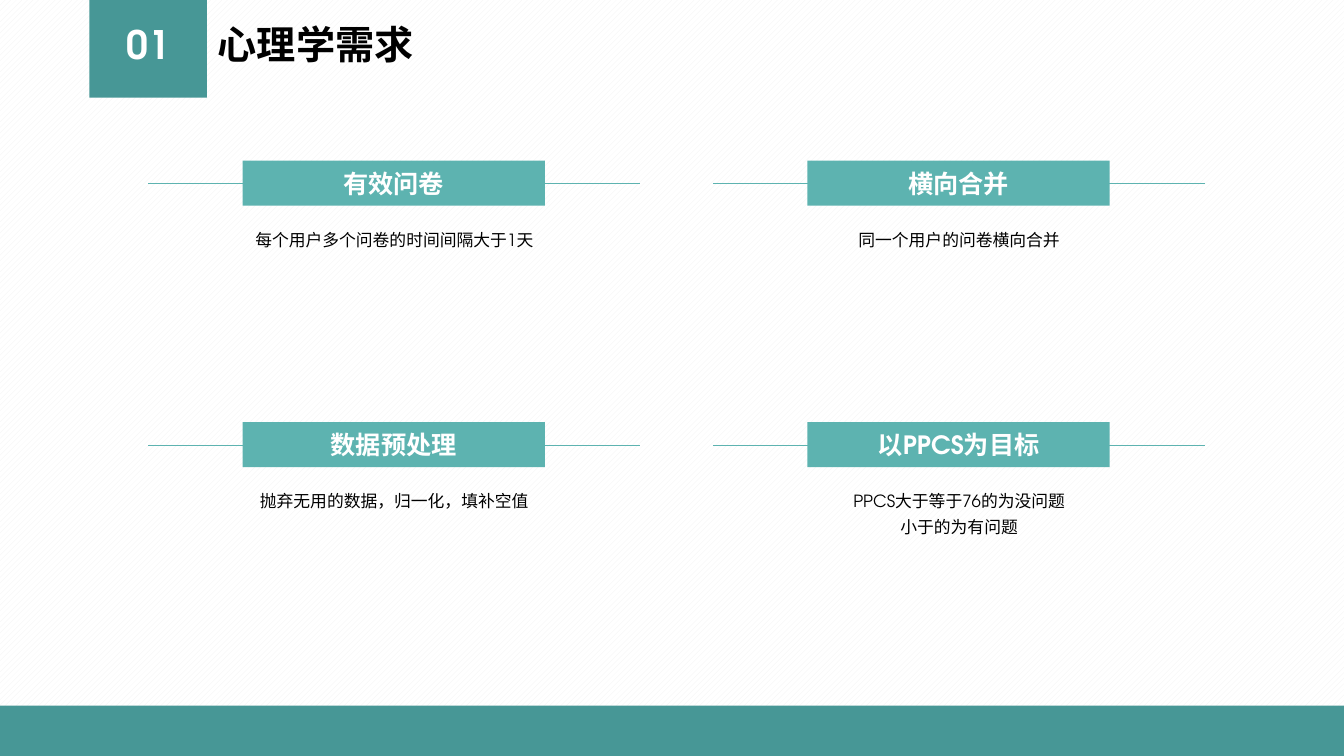
from dataclasses import dataclass

from lxml import etree
from pptx import Presentation, util as u
from pptx.dml.color import RGBColor
from pptx.enum import dml, shapes, text
from pptx.oxml.ns import qn

PX = 9525  # EMU per px, 96 px to the inch
WIDTH, HEIGHT = 1280, 720
FONT = "TeX Gyre Adventor"
DARK_TEAL, TEAL, WHITE, BLACK = "479796", "5DB3B0", "FFFFFF", "000000"

CARD_W, LINE_W = 469, 124
BANNER_W, BANNER_H = 288, 43
COLUMNS, ROWS = (141, 679), (175, 424)


@dataclass
class Card:
    heading: str
    body: list[str]


CARDS = [
    Card("有效问卷", ["每个用户多个问卷的时间间隔大于1天"]),
    Card("横向合并", ["同一个用户的问卷横向合并"]),
    Card("数据预处理", ["抛弃无用的数据，归一化，填补空值"]),
    Card("以PPCS为目标", ["PPCS大于等于76的为没问题", "小于的为有问题"]),
]


def rgb(value: str) -> RGBColor:
    return RGBColor.from_string(value)


def box(*px: int) -> list[u.Emu]:
    return [u.Emu(v * PX) for v in px]


def write(sp, lines: list[str], size: int, color: str, bold: bool = False,
          align=text.PP_ALIGN.CENTER, anchor=text.MSO_ANCHOR.MIDDLE,
          spacing: float = 1.0) -> None:
    tf = sp.text_frame
    tf.word_wrap = True
    tf.vertical_anchor = anchor
    for i, line in enumerate(lines):
        p = tf.add_paragraph() if i else tf.paragraphs[0]
        p.alignment = align
        p.line_spacing = spacing
        r = p.add_run()
        r.text = line
        r.font.name, r.font.size, r.font.bold = FONT, u.Pt(size), bold
        r.font.color.rgb = rgb(color)


def add_rect(parent, x: int, y: int, w: int, h: int, color: str):
    sp = parent.add_shape(shapes.MSO_SHAPE.RECTANGLE, *box(x, y, w, h))
    sp.shadow.inherit = False
    sp.fill.solid()
    sp.fill.fore_color.rgb = rgb(color)
    sp.line.fill.background()
    return sp


def add_rule(parent, x: int, y: int, w: int) -> None:
    line = parent.add_connector(shapes.MSO_CONNECTOR.STRAIGHT, *box(x, y, x + w, y))
    line.line.color.rgb = rgb(TEAL)
    line.line.width = u.Pt(0.5)
    etree.SubElement(line._element.spPr, qn("a:effectLst"))


def add_card(s, card: Card, x: int, y: int) -> None:
    """Draw a card whose rules run at height y."""
    group = s.shapes.add_group_shape().shapes
    for left in (x, x + CARD_W - LINE_W):
        add_rule(group, left, y, LINE_W)
    banner = add_rect(group, x + (CARD_W - BANNER_W) // 2, y - 22,
                      BANNER_W, BANNER_H, TEAL)
    write(banner, [card.heading], 18, WHITE, bold=True)
    body = group.add_textbox(*box(x, y + 33, CARD_W, 8 + 25 * len(card.body)))
    write(body, card.body, 12, BLACK, anchor=text.MSO_ANCHOR.TOP, spacing=1.3)


def add_header(s) -> None:
    add_rect(s.shapes, 85, 0, 112, 93, DARK_TEAL)
    number = s.shapes.add_textbox(*box(85, 22, 112, 45))
    write(number, ["01"], 28, WHITE, bold=True, spacing=0.9)
    title = s.shapes.add_textbox(*box(198, 22, 498, 45))
    write(title, ["心理学需求"], 28, BLACK, bold=True,
          align=text.PP_ALIGN.LEFT, spacing=0.9)


def main() -> None:
    prs = Presentation()
    prs.slide_width, prs.slide_height = box(WIDTH, HEIGHT)
    s = prs.slides.add_slide(prs.slide_layouts[6])
    fill = s.background.fill
    fill.patterned()
    fill.pattern = dml.MSO_PATTERN.WIDE_UPWARD_DIAGONAL
    fill.fore_color.rgb = rgb("F2F2F2")
    fill.back_color.rgb = rgb(WHITE)

    add_header(s)
    add_rect(s.shapes, 0, 672, WIDTH, 48, DARK_TEAL)
    for i, card in enumerate(CARDS):
        row, column = divmod(i, len(COLUMNS))
        add_card(s, card, COLUMNS[column], ROWS[row])
    prs.save("out.pptx")


if __name__ == "__main__":
    main()
